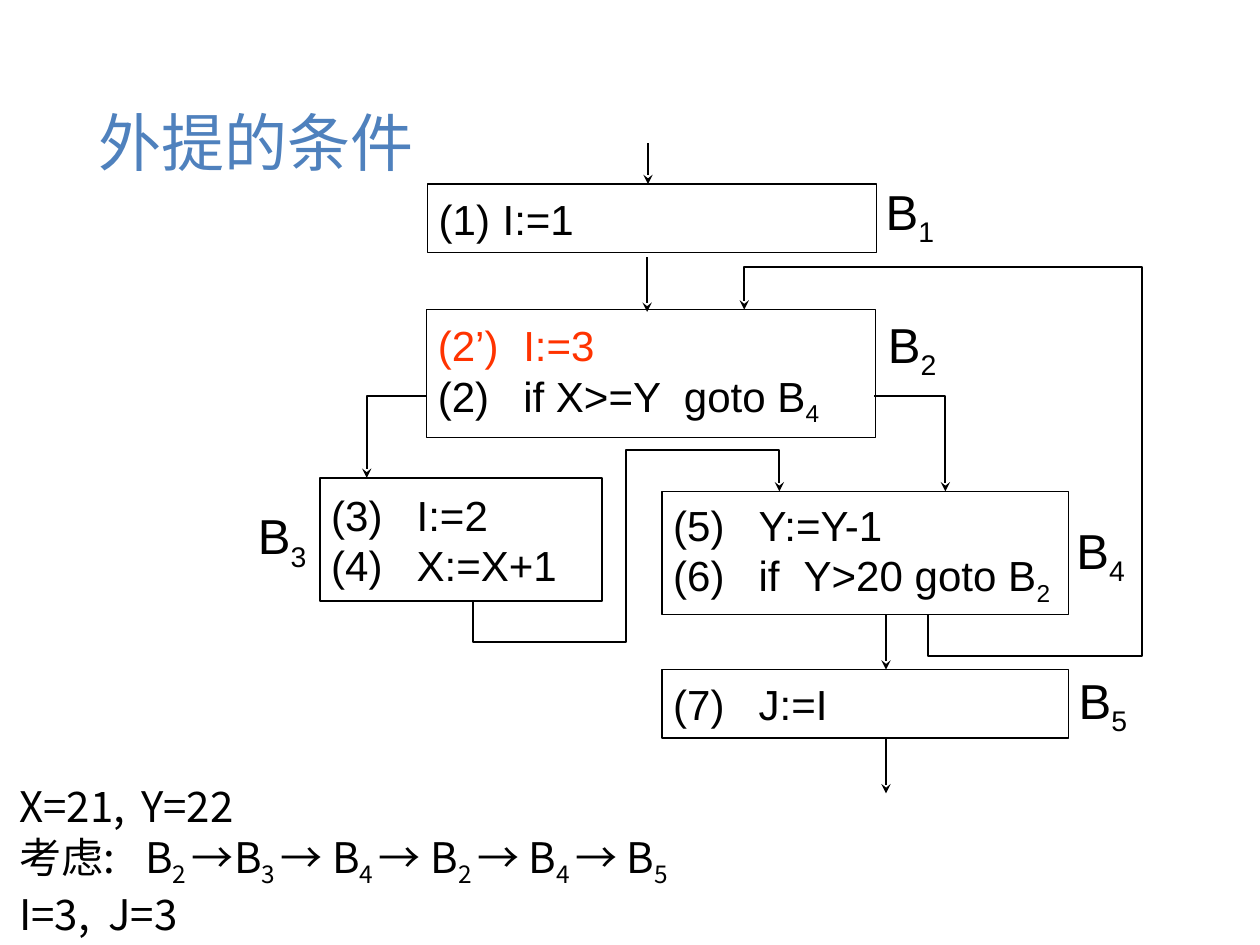
"""Build a slide showing the flow graph for the code hoisting condition."""
from dataclasses import dataclass

from lxml.etree import SubElement
from pptx import Presentation
from pptx.dml.color import RGBColor
from pptx.enum.shapes import MSO_CONNECTOR, MSO_SHAPE
from pptx.enum.text import MSO_ANCHOR as Anchor, MSO_AUTO_SIZE, PP_ALIGN as Align
from pptx.oxml.ns import qn
from pptx.util import Cm, Pt

BLACK = RGBColor(0x00, 0x00, 0x00)
WHITE = RGBColor(0xFF, 0xFF, 0xFF)
BLUE = RGBColor(0x4F, 0x81, 0xBD)
RED = RGBColor(0xFF, 0x33, 0x00)
LATIN, CHINESE = "Arial", "Noto Sans CJK SC"
BODY_SIZE, LABEL_SIZE, TITLE_SIZE = 26.5, 30.9, 39.7
LABEL_WIDTH, LABEL_HEIGHT = 1.42, 1.83
NUMBER_TAB = 1.9


@dataclass(frozen=True)
class Line:
    """Text with subscripts between bars, and its tab stops in cm."""
    text: str
    stops: tuple[float, ...] = (NUMBER_TAB,)
    color: RGBColor = BLACK


@dataclass(frozen=True)
class Block:
    """A basic block with its label position, all in cm."""
    number: int
    left: float
    top: float
    width: float
    height: float
    label_left: float
    label_top: float
    lines: tuple[Line, ...]


BLOCKS = (
    Block(1, 9.5, 4.09, 9.98, 1.52, 19.51, 3.86, (Line("(1)\tI:=1", (1.42,)),)),
    Block(2, 9.48, 6.88, 9.98, 2.84, 19.56, 6.81, (
        Line("(2’)\tI:=3", color=RED),
        Line("(2)\tif X>=Y\tgoto B|4|", (NUMBER_TAB, 5.47)))),
    Block(3, 7.11, 10.62, 6.27, 2.74, 5.56, 11.07, (
        Line("(3)\tI:=2"), Line("(4)\tX:=X+1"))),
    Block(4, 14.71, 10.92, 9.04, 2.74, 23.75, 11.4, (
        Line("(5)\tY:=Y-1"), Line("(6)\tif\tY>20 goto B|2|", (NUMBER_TAB, 2.9)))),
    Block(5, 14.71, 14.88, 9.04, 1.52, 23.8, 14.73, (Line("(7)\tJ:=I"),)),
)
ROUTES = (
    ((14.4, 3.18), (14.4, 4.09)),
    ((14.38, 5.72), (14.38, 6.93)),
    ((19.69, 13.67), (19.69, 14.88)),
    ((19.69, 16.41), (19.69, 17.63)),
    ((9.48, 8.81), (8.15, 8.81), (8.15, 10.62)),
    ((19.43, 8.81), (21.01, 8.81), (21.01, 10.92)),
    ((20.62, 13.67), (20.62, 14.58), (25.37, 14.58),
     (25.37, 5.94), (16.54, 5.94), (16.54, 6.88)),
    ((10.52, 13.36), (10.52, 14.27), (13.92, 14.27),
     (13.92, 10.01), (17.32, 10.01), (17.32, 10.92)),
)
CAPTION = (
    Line("X=21,\tY=22", (2.71,)),
    Line("考虑:\tB|2 |→B|3 |→ B|4 |→ B|2 |→ B|4 |→ B|5|", (2.8,)),
    Line("I=3,\tJ=3", (1.98,)),
)


def write_text(shape, lines: tuple[Line, ...], *, size: float = BODY_SIZE,
               font: str = LATIN, align: Align = Align.LEFT,
               anchor: Anchor = Anchor.MIDDLE) -> None:
    """Fill a shape with formatted lines."""
    frame = shape.text_frame
    frame.word_wrap = True
    frame.auto_size = MSO_AUTO_SIZE.NONE
    frame.vertical_anchor = anchor
    for index, line in enumerate(lines):
        paragraph = frame.add_paragraph() if index else frame.paragraphs[0]
        paragraph.alignment = align
        if "\t" in line.text:
            tabs = SubElement(paragraph._p.get_or_add_pPr(), qn("a:tabLst"))
            for stop in line.stops:
                SubElement(tabs, qn("a:tab"), pos=str(Cm(stop)), algn="l")
        for part, text in enumerate(line.text.split("|")):
            if not text:
                continue
            run = paragraph.add_run()
            run.text = text
            run.font.size = Pt(size)
            run.font.name = font
            run.font.color.rgb = line.color
            properties = run._r.get_or_add_rPr()
            SubElement(properties, qn("a:ea"), typeface=font)
            if part % 2:
                properties.set("baseline", "-25000")


def add_box(slide, left: float, top: float, width: float, height: float):
    """Add a plain white rectangle."""
    shape = slide.shapes.add_shape(
        MSO_SHAPE.RECTANGLE, Cm(left), Cm(top), Cm(width), Cm(height))
    shape.shadow.inherit = False
    shape.fill.solid()
    shape.fill.fore_color.rgb = WHITE
    shape.line.fill.background()
    return shape


def add_block(slide, block: Block) -> None:
    """Add a basic block and its label."""
    box = add_box(slide, block.left, block.top, block.width, block.height)
    box.line.color.rgb = BLACK
    box.line.width = Pt(1)
    write_text(box, block.lines)
    label = slide.shapes.add_textbox(Cm(block.label_left), Cm(block.label_top),
                                     Cm(LABEL_WIDTH), Cm(LABEL_HEIGHT))
    label.text_frame.margin_left = label.text_frame.margin_right = 0
    write_text(label, (Line(f"B|{block.number}|"),), size=LABEL_SIZE, align=Align.CENTER)


def add_route(slide, points: tuple[tuple[float, float], ...]) -> None:
    """Add a straight or bent arrow through the points."""
    start, *others = [(Cm(x), Cm(y)) for x, y in points]
    if len(others) == 1:
        route = slide.shapes.add_connector(MSO_CONNECTOR.STRAIGHT, *start, *others[0])
    else:
        builder = slide.shapes.build_freeform(*start)
        builder.add_line_segments(others, close=False)
        route = builder.convert_to_shape()
        route.fill.background()
    route.line.color.rgb = BLACK
    route.line.width = Pt(1.25)
    SubElement(route.line._get_or_add_ln(), qn("a:tailEnd"), type="stealth")
    SubElement(route._element.spPr, qn("a:effectLst"))


def main() -> None:
    """Create and save the presentation."""
    presentation = Presentation()
    presentation.slide_width, presentation.slide_height = Cm(28), Cm(21)
    slide = presentation.slides.add_slide(presentation.slide_layouts[5])
    title = slide.shapes.title
    title.left, title.top, title.width, title.height = map(Cm, (1.93, 1.12, 24.16, 4.06))
    write_text(title, (Line("外提的条件", color=BLUE),), size=TITLE_SIZE, font=CHINESE)
    for block in BLOCKS:
        add_block(slide, block)
    for points in ROUTES:
        add_route(slide, points)
    caption = add_box(slide, 0.18, 17.22, 15.29, 3.66)
    write_text(caption, CAPTION, font=CHINESE, anchor=Anchor.TOP)
    presentation.save("out.pptx")


if __name__ == "__main__":
    main()
